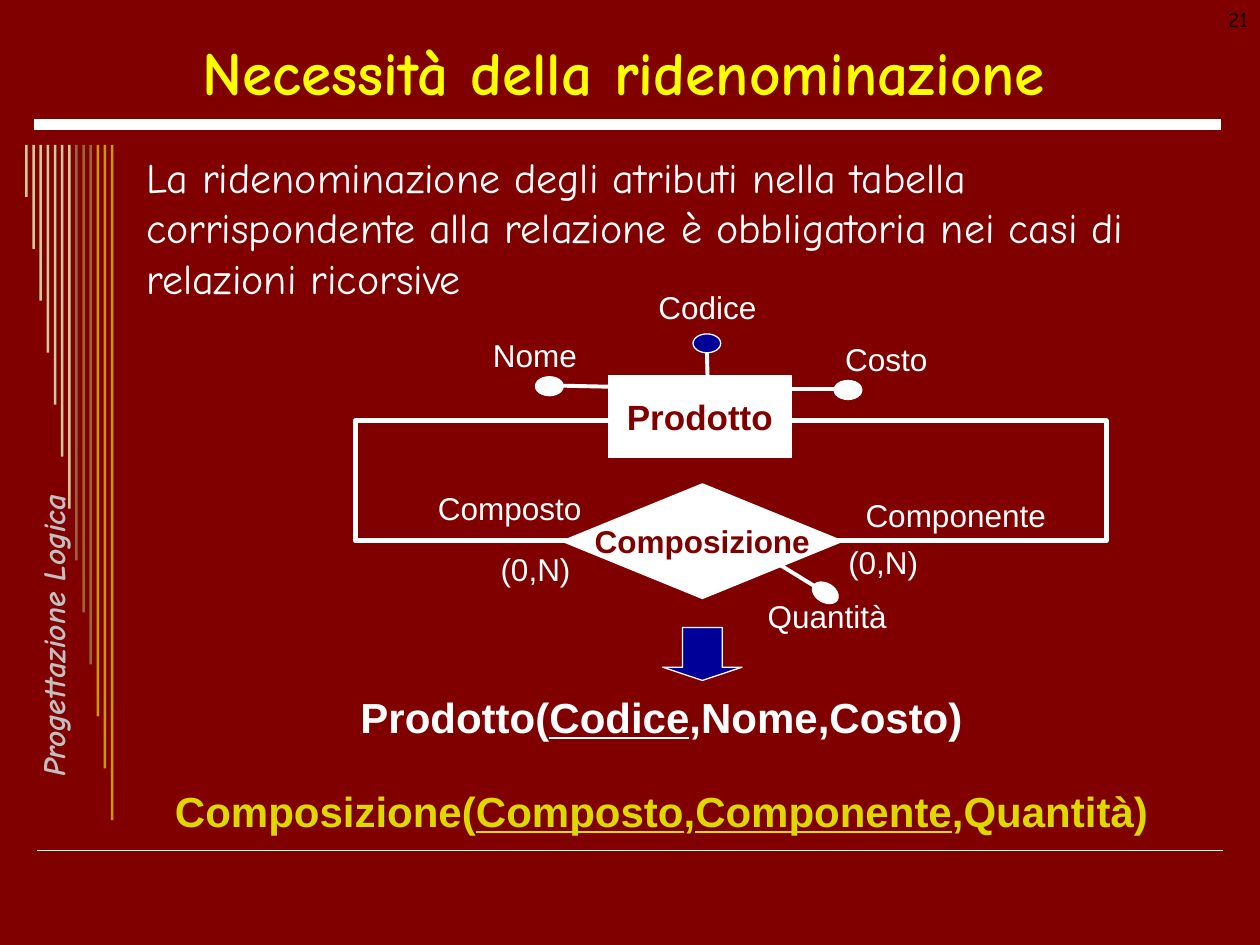
import dataclasses

import lxml.etree
import pptx
import pptx.dml.color
import pptx.enum.shapes
import pptx.enum.text
import pptx.oxml.ns
import pptx.util

Inches = pptx.util.Inches
Shape = pptx.enum.shapes.MSO_SHAPE
Align = pptx.enum.text.PP_ALIGN
Anchor = pptx.enum.text.MSO_ANCHOR


@dataclasses.dataclass(frozen=True)
class Theme:
    ground: str = "800000"
    white: str = "FFFFFF"
    black: str = "000000"
    blue: str = "000099"
    title: str = "FFFF00"
    result: str = "DDD800"
    gray: str = "C0C0C0"
    tan: str = "CCCC99"
    brown: str = "996633"
    gold: str = "CC9900"
    hand: str = "Comic Neue"
    sans: str = "Arial"
    head: int = 35
    body: int = 24
    name: int = 20
    label: int = 18
    small: int = 12


def color(code):
    return pptx.dml.color.RGBColor.from_string(code)


def child(parent, tag):
    return lxml.etree.SubElement(parent, pptx.oxml.ns.qn(tag))


class Page:
    def __init__(self, slide, theme):
        self.slide = slide
        self.theme = theme
        slide.background.fill.solid()
        slide.background.fill.fore_color.rgb = color(theme.ground)

    def place(self, shape, box):
        shape.left, shape.top, shape.width, shape.height = map(Inches, box)

    def style(self, par, size, tint, face=None, bold=False, align=Align.CENTER):
        par.alignment = align
        font = par.font
        font.name = face or self.theme.sans
        font.size = pptx.util.Pt(size)
        font.bold = bold
        font.color.rgb = color(tint)

    def holder(self, index, box, text, anchor, *look, **more):
        shape = self.slide.placeholders[index]
        self.place(shape, box)
        frame = shape.text_frame
        frame.text = text
        frame.word_wrap = True
        frame.auto_size = pptx.enum.text.MSO_AUTO_SIZE.NONE
        frame.vertical_anchor = anchor
        par = frame.paragraphs[0]
        if index:
            props = par._p.get_or_add_pPr()
            props.set("marL", "0")
            props.set("indent", "0")
            child(props, "a:buNone")
        par.space_before = pptx.util.Pt(0)
        self.style(par, *look, **more)

    def text(self, box, text, *look, wrap=True, **more):
        shape = self.slide.shapes.add_textbox(*map(Inches, box))
        shape.text_frame.word_wrap = wrap
        par = shape.text_frame.paragraphs[0]
        par.text = text
        self.style(par, *look, **more)
        return shape

    def schema(self, par, parts, tint):
        """Write a relation; every second part is a key and is underlined."""
        for i, part in enumerate(parts):
            run = par.add_run()
            run.text = part
            run.font.underline = i % 2 == 1
        self.style(par, self.theme.body, tint, bold=True)

    def shape(self, kind, box, fill=None, line=None, width=0.75, turn=0):
        shape = self.slide.shapes.add_shape(kind, *map(Inches, box))
        shape.shadow.inherit = False
        shape.rotation = turn
        if fill:
            shape.fill.solid()
            shape.fill.fore_color.rgb = color(fill)
        else:
            shape.fill.background()
        if line:
            shape.line.color.rgb = color(line)
            shape.line.width = pptx.util.Pt(width)
        else:
            shape.line.fill.background()
        return shape

    def node(self, kind, box, text, size):
        white = self.theme.white
        frame = self.shape(kind, box, white, white).text_frame
        frame.word_wrap = False
        frame.vertical_anchor = Anchor.MIDDLE
        frame.text = text
        self.style(frame.paragraphs[0], size, self.theme.ground, bold=True)

    def line(self, start, end, width):
        link = self.slide.shapes.add_connector(
            pptx.enum.shapes.MSO_CONNECTOR.STRAIGHT, *map(Inches, start + end))
        link.line.color.rgb = color(self.theme.white)
        link.line.width = pptx.util.Pt(width)
        child(link._element.spPr, "a:effectLst")

    def field(self, start, end, spot, fill, turn=0):
        """Draw an attribute: a short stem with an oval at its end."""
        self.line(start, end, 2.25)
        self.shape(Shape.OVAL, spot + (0.22, 0.15), fill, self.theme.white, turn=turn)


def main():
    deck = pptx.Presentation()
    deck.slide_width, deck.slide_height = Inches(10), Inches(7.5)
    theme = Theme()
    page = Page(deck.slides.add_slide(deck.slide_layouts[5 - 4]), theme)
    white = theme.white

    # Rules and side bars
    page.line((0.29, 6.75), (9.71, 6.75), 1)
    page.line((0.27, 0.99), (9.69, 0.99), 6)
    tints = [theme.tan] * 7 + [theme.brown] * 3 + [theme.gold] * 3
    for i, tint in enumerate(tints):
        page.shape(Shape.RECTANGLE, (0.2 + 0.68 * i / 12, 1.15, 0.02, 5.36 * (i + 1) / 13), tint)
    side = page.text((-1.11, 4.92, 2.91, 0.25), "Progettazione Logica",
                     theme.label, theme.gray, theme.hand, True, wrap=False)
    side.rotation = 270
    side.text_frame.paragraphs[0].font.italic = True

    # Title and body
    page.holder(0, (0.35, 0.21, 9.21, 0.71), "Necessità della ridenominazione",
                Anchor.MIDDLE, theme.head, theme.title, theme.hand, True)
    page.holder(1, (1.06, 1.15, 8.52, 5.51),
                "La ridenominazione degli atributi nella tabella corrispondente "
                "alla relazione è obbligatoria nei casi di relazioni ricorsive",
                Anchor.TOP, theme.body, white, theme.hand, align=Align.LEFT)

    # Recursive loop, attributes, entity and relation
    page.shape(Shape.RECTANGLE, (2.82, 3.34, 5.96, 0.95), line=white, width=3)
    page.field((4.86, 3.07), (4.41, 3.06), (4.25, 2.99), white)
    page.field((5.61, 2.77), (5.62, 3.16), (5.5, 2.65), theme.blue)
    page.field((6.23, 3.09), (6.68, 3.09), (6.62, 3.02), white)
    page.field((6.12, 4.44), (6.51, 4.68), (6.44, 4.63), white, 30.7)
    page.node(Shape.RECTANGLE, (4.83, 2.98, 1.45, 0.65), "Prodotto", theme.name)
    page.node(Shape.DIAMOND, (4.46, 3.84, 2.23, 0.91), "Composizione", theme.label)

    # Labels
    for text, left, top, width in (
        ("Codice", 4.64, 2.24, 1.95),
        ("Nome", 3.27, 2.62, 1.95),
        ("Costo", 6.06, 2.65, 1.95),
        ("Quantità", 5.59, 4.69, 1.95),
        ("Composto", 3.07, 3.83, 1.95),
        ("Componente", 6.61, 3.89, 1.95),
        ("(0,N)", 3.59, 4.32, 1.32),
        ("(0,N)", 6.35, 4.26, 1.32),
    ):
        page.text((left, top, width, 0.4), text, theme.label, white)

    # Resulting tables
    arrow = page.shape(Shape.DOWN_ARROW, (5.26, 4.98, 0.63, 0.42), theme.blue, white)
    arrow.adjustments[0], arrow.adjustments[1] = 0.5, 0.25
    frame = page.text((1.03, 5.44, 8.44, 1.24), "", theme.body, white).text_frame
    page.schema(frame.paragraphs[0], ("Prodotto(", "Codice", ",Nome,Costo)"), white)
    last = frame.add_paragraph()
    last.space_before = pptx.util.Pt(25)
    page.schema(last, ("Composizione(", "Composto", ",", "Componente", ",Quantità)"),
                theme.result)

    # Page number
    page.text((7.67, 0, 2.33, 0.5), "21", theme.small, theme.black, theme.hand,
              align=Align.RIGHT)
    deck.save("out.pptx")


if __name__ == "__main__":
    main()
